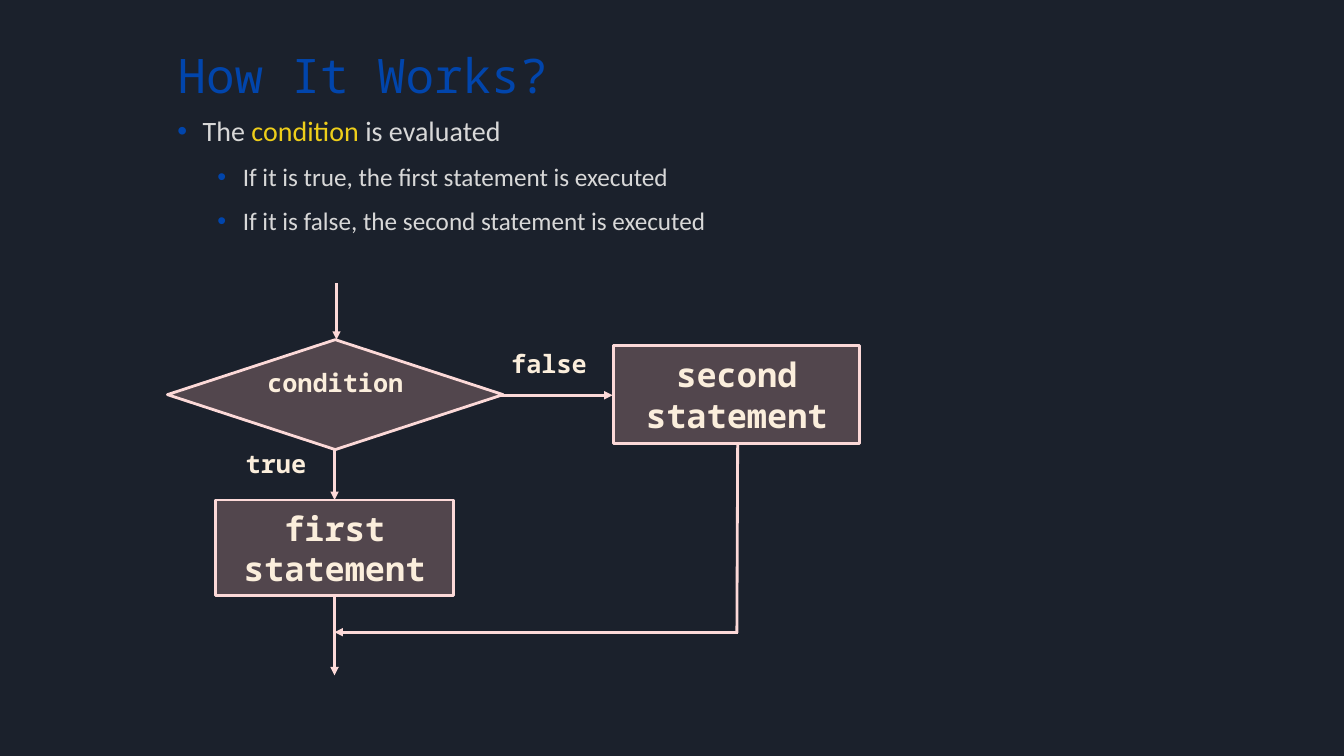
"""Build the slide that explains how a conditional works, with its flowchart."""
from dataclasses import dataclass
from typing import Any

from lxml.etree import SubElement
from pptx import Presentation
from pptx.dml.color import RGBColor as RGB
from pptx.enum.shapes import MSO_CONNECTOR as LINE, MSO_SHAPE as SHAPE
from pptx.enum.text import MSO_ANCHOR as ANCHOR, MSO_AUTO_SIZE as FIT, PP_ALIGN as ALIGN
from pptx.oxml.ns import qn
from pptx.util import Cm, Pt


@dataclass(frozen=True)
class Theme:
    background: str = "1B212C"
    accent: str = "0145AC"
    body: str = "D8D8D8"
    highlight: str = "EECE1A"
    node: str = "FAB6B3"
    node_alpha: int = 25
    line: str = "FCD9D8"
    code: str = "FBEEDC"
    text_font: str = "Calibri"
    code_font: str = "Noto Sans Mono"
    title_size: int = 34
    statement_size: int = 24
    body_size: int = 20
    small_size: int = 18
    line_width: int = 2


@dataclass(frozen=True)
class Node:
    text: str
    shape: SHAPE
    box: tuple[float, float, float, float]
    size: int
    anchor: ANCHOR


@dataclass(frozen=True)
class Label:
    text: str
    box: tuple[float, float, float, float]


@dataclass(frozen=True)
class Flow:
    start: tuple[float, float]
    end: tuple[float, float]
    arrow: bool = True


@dataclass(frozen=True)
class Bullet:
    runs: tuple[tuple[str, str], ...]
    size: int
    level: int = 0
    indent: float = 0.64
    before: int = 0


T = Theme()
AXIS, MERGE_Y = 8.43, 15.93

BULLETS = (
    Bullet((("The ", T.body), ("condition", T.highlight), (" is evaluated", T.body)), T.body_size),
    *(Bullet(((f"If it is {value}, the {order} statement is executed", T.body),),
             T.small_size, 1, 1.65, 10)
      for value, order in (("true", "first"), ("false", "second"))),
)
NODES = (
    Node("condition", SHAPE.FLOWCHART_DECISION, (4.22, 8.56, 8.46, 2.77), T.small_size, ANCHOR.TOP),
    Node("first\nstatement", SHAPE.RECTANGLE, (5.44, 12.6, 5.99, 2.41), T.statement_size, ANCHOR.MIDDLE),
    Node("second\nstatement", SHAPE.RECTANGLE, (15.47, 8.71, 6.2, 2.46), T.statement_size, ANCHOR.MIDDLE),
)
LABELS = (
    Label("true", (5.66, 11.3, 2.59, 0.91)),
    Label("false", (12.22, 8.76, 3.23, 0.91)),
)
FLOWS = (
    Flow((8.48, 7.14), (8.48, 8.56)),
    Flow((AXIS, 11.3), (AXIS, 12.6)),
    Flow((AXIS, 15.04), (AXIS, 17.02)),
    Flow((12.57, 9.96), (15.44, 9.96)),
    Flow((18.59, 11.2), (18.57, 15.95), arrow=False),
    Flow((18.59, MERGE_Y), (AXIS, MERGE_Y)),
)


def apply(target: Any, **values: Any) -> None:
    """Set every given attribute on the target."""
    for name, value in values.items():
        setattr(target, name, value)


def set_font(font: Any, name: str, size: int, color: str, bold: bool = False) -> None:
    """Format a font."""
    apply(font, name=name, size=Pt(size), bold=bold)
    font.color.rgb = RGB.from_string(color)


def cm(values: tuple[float, ...]) -> list[Cm]:
    """Turn numbers into lengths."""
    return [Cm(v) for v in values]


def write_code(tf: Any, text: str, size: int, spacing: float = 1.0) -> None:
    """Write centred bold code text, one paragraph a line."""
    tf.text = text
    for p in tf.paragraphs:
        apply(p, alignment=ALIGN.CENTER, line_spacing=spacing)
        set_font(p.runs[0].font, T.code_font, size, T.code, bold=True)


def set_line(line: Any) -> None:
    """Give a line the flowchart's colour and width."""
    line.color.rgb = RGB.from_string(T.line)
    line.width = Pt(T.line_width)


def add_title(s: Any, text: str) -> None:
    """Fill and format the title placeholder."""
    sp = s.shapes.title
    apply(sp, left=Cm(4.22), top=Cm(0), width=Cm(25.4), height=Cm(2.74))
    tf = sp.text_frame
    tf.text = text
    apply(tf, auto_size=FIT.NONE, vertical_anchor=ANCHOR.BOTTOM)
    p = tf.paragraphs[0]
    apply(p, alignment=ALIGN.LEFT, line_spacing=0.9)
    set_font(p.runs[0].font, T.code_font, T.title_size, T.accent)


def add_bullets(s: Any, bullets: tuple[Bullet, ...]) -> None:
    """Add the bulleted explanation."""
    tf = s.shapes.add_textbox(*cm((4.22, 2.74, 29.08, 15.93))).text_frame
    tf.word_wrap = True
    for i, bullet in enumerate(bullets):
        p = tf.add_paragraph() if i else tf.paragraphs[0]
        apply(p, level=bullet.level, space_before=Pt(bullet.before))
        for text, color in bullet.runs:
            r = p.add_run()
            r.text = text
            set_font(r.font, T.text_font, bullet.size, color)
        pPr = p._p.get_or_add_pPr()
        pPr.set("marL", str(Cm(bullet.indent)))
        pPr.set("indent", str(-Cm(0.64)))
        SubElement(SubElement(pPr, qn("a:buClr")), qn("a:srgbClr"), val=T.accent)
        SubElement(pPr, qn("a:buFont"), typeface="Arial")
        SubElement(pPr, qn("a:buChar"), char="•")


def add_node(s: Any, node: Node) -> None:
    """Add a translucent flowchart node."""
    sp = s.shapes.add_shape(node.shape, *cm(node.box))
    sp.shadow.inherit = False
    sp.fill.solid()
    sp.fill.fore_color.rgb = RGB.from_string(T.node)
    color = sp._element.spPr.find(qn("a:solidFill")).find(qn("a:srgbClr"))
    SubElement(color, qn("a:alpha"), val=str(T.node_alpha * 1000))
    set_line(sp.line)
    tf = sp.text_frame
    apply(tf, word_wrap=True, vertical_anchor=node.anchor,
          margin_left=0, margin_right=0, margin_top=0, margin_bottom=0)
    write_code(tf, node.text, node.size)


def add_label(s: Any, label: Label) -> None:
    """Add a branch label."""
    tf = s.shapes.add_textbox(*cm(label.box)).text_frame
    tf.word_wrap = True
    write_code(tf, label.text, T.small_size, 0.85)


def add_flow(s: Any, flow: Flow) -> None:
    """Add a flow line, with an arrowhead where needed."""
    cxn = s.shapes.add_connector(LINE.STRAIGHT, *cm(flow.start + flow.end))
    set_line(cxn.line)
    if flow.arrow:
        SubElement(cxn.line._get_or_add_ln(), qn("a:tailEnd"), type="triangle")
    SubElement(cxn._element.spPr, qn("a:effectLst"))


def main() -> None:
    """Build and save the slide."""
    prs = Presentation()
    apply(prs, slide_width=Cm(33.87), slide_height=Cm(19.05))
    s = prs.slides.add_slide(prs.slide_layouts.get_by_name("Title Only"))
    s.background.fill.solid()
    s.background.fill.fore_color.rgb = RGB.from_string(T.background)
    add_title(s, "How It Works?")
    add_bullets(s, BULLETS)
    for draw, items in ((add_flow, FLOWS), (add_node, NODES), (add_label, LABELS)):
        for item in items:
            draw(s, item)
    prs.save("out.pptx")


main()
